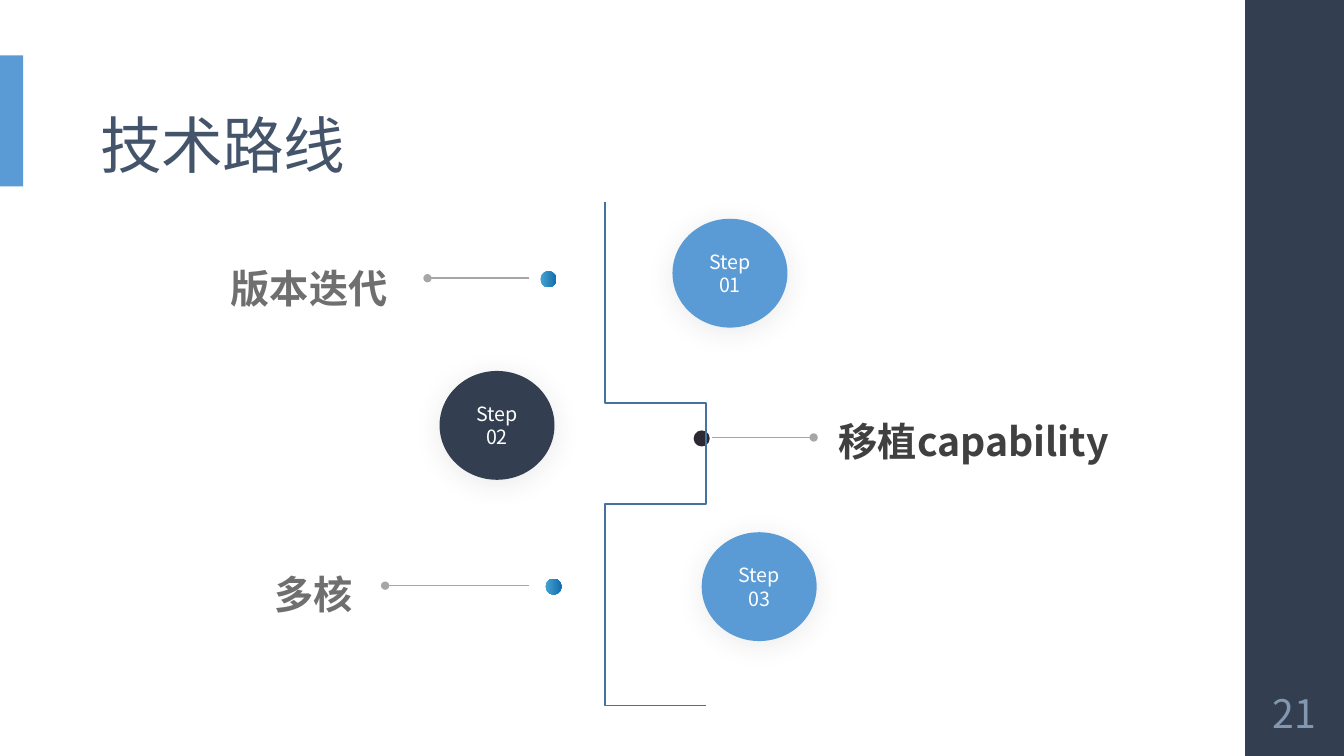
from lxml import etree
from pptx import Presentation, util as u
from pptx.dml.color import RGBColor
from pptx.enum import shapes, text
from pptx.oxml import parse_xml
from pptx.oxml.ns import nsdecls, qn

NAVY = RGBColor(0x33, 0x3F, 0x50)
BLUE = RGBColor(0x5B, 0x9B, 0xD5)
SLATE = RGBColor(0x44, 0x54, 0x6A)
PALE = RGBColor(0x84, 0x97, 0xB0)
GREY = RGBColor(0x6F, 0x6F, 0x6F)
CHARCOAL = RGBColor(0x40, 0x40, 0x40)
RULE = RGBColor(0xA6, 0xA6, 0xA6)
CURVE = RGBColor(0x43, 0x73, 0x9E)
INK = RGBColor(0x2D, 0x29, 0x33)
DOT_BLUES = RGBColor(0x46, 0xA2, 0xD0), RGBColor(0x14, 0x6D, 0xAD)
WHITE = RGBColor(0xFF, 0xFF, 0xFF)
FONT = "Noto Sans CJK SC"
LEFT, CENTER, RIGHT = text.PP_ALIGN.LEFT, text.PP_ALIGN.CENTER, text.PP_ALIGN.RIGHT
OVAL = shapes.MSO_SHAPE.OVAL

# Circle box, circle colour, step number
STEPS = [
    ((6.67, 2.17, 1.14, 1.08), BLUE, "01"),
    ((4.36, 3.68, 1.14, 1.08), NAVY, "02"),
    ((6.96, 5.28, 1.14, 1.08), BLUE, "03"),
]
# Label, label box, alignment, colour, rule start and end x, rule y, dot x
TOPICS = [
    ("版本迭代", (2.04, 2.39, 1.9, 0.62), RIGHT, GREY, 5.25, 4.24, 2.76, 5.36),
    ("移植capability", (8.22, 3.91, 3.51, 0.62), LEFT, CHARCOAL, 7.06, 8.07, 4.34, 6.88),
    ("多核", (2.15, 5.42, 1.45, 0.62), RIGHT, GREY, 5.25, 3.82, 5.81, 5.41),
]
ROUTE_START = (6.46, 1.5)
ROUTE_BEZIERS = [
    ((6.11, 1.71), (5.8, 2.29), (5.83, 2.76)),
    ((5.85, 3.23), (6.57, 3.81), (6.58, 4.33)),
    ((6.59, 4.85), (5.89, 5.45), (5.89, 5.87)),
    ((5.9, 6.3), (6.4, 6.69), (6.61, 6.86)),
]


def inches(box):
    return [u.Inches(v) for v in box]


def write(tf, words, size, color, align=LEFT, bold=False, spacing=None):
    tf.text = words
    tf.word_wrap = True
    for p in tf.paragraphs:
        p.alignment = align
        p.line_spacing = spacing
        for r in p.runs:
            r.font.size = u.Pt(size)
            r.font.name = FONT
            r.font.bold = bold
            r.font.color.rgb = color
            etree.SubElement(r.font._element, qn("a:ea")).set("typeface", FONT)


def add_solid(s, kind, box, color):
    sp = s.shapes.add_shape(kind, *inches(box))
    sp.shadow.inherit = False
    sp.fill.solid()
    sp.fill.fore_color.rgb = color
    sp.line.fill.background()
    return sp


def add_frame(s, box, number):
    """Side panel with the page number, and the accent beside the title."""
    x, y, w, h = box
    rect = shapes.MSO_SHAPE.RECTANGLE
    add_solid(s, rect, box, NAVY)
    add_solid(s, rect, (0, 0.55, 0.23, 1.3), BLUE)
    tf = s.shapes.add_textbox(*inches((x, y + h - 0.75, w, 0.65))).text_frame
    tf.margin_left = tf.margin_right = u.Inches(0.05)
    tf.vertical_anchor = text.MSO_ANCHOR.MIDDLE
    write(tf, number, 28, PALE, CENTER)


def add_title(s, box, words):
    sp = s.shapes.title
    sp.left, sp.top, sp.width, sp.height = inches(box)
    tf = sp.text_frame
    tf.vertical_anchor = text.MSO_ANCHOR.BOTTOM
    write(tf, words, 44, SLATE, spacing=0.9)
    tf.paragraphs[0].runs[0].font._element.set("spc", "-50")


def add_dot(s, x, y, gradient):
    sp = add_solid(s, OVAL, (x, y, 0.16, 0.16), INK)
    if gradient:
        sp.fill.gradient()
        sp.fill.gradient_angle = 0
        for stop, color in zip(sp.fill.gradient_stops, DOT_BLUES):
            stop.color.rgb = color


def add_topic(s, label, box, align, color, start, end, y, dot_x):
    """Label joined by a round-ended rule to a dot beside the route."""
    add_dot(s, dot_x, y - 0.07, gradient=align == RIGHT)
    cx = s.shapes.add_connector(shapes.MSO_CONNECTOR.STRAIGHT, *inches((start, y, end, y)))
    cx.line.color.rgb = RULE
    cx.line.width = u.Pt(1)
    etree.SubElement(cx.line._get_or_add_ln(), qn("a:tailEnd")).set("type", "oval")
    etree.SubElement(cx._element.spPr, qn("a:effectLst"))
    tf = s.shapes.add_textbox(*inches(box)).text_frame
    tf.margin_top = tf.margin_bottom = 0
    write(tf, label, 28, color, align, bold=True, spacing=1.5)


def add_step(s, box, color, number):
    """Numbered circle with a flattened shadow below it."""
    sp = add_solid(s, OVAL, box, color)
    sp._element.spPr.find(qn("a:effectLst")).append(parse_xml(
        f'<a:outerShdw {nsdecls("a")} blurRad="241300" dist="38100" dir="5400000" '
        'sy="-20000" rotWithShape="0"><a:srgbClr val="3F3F3F">'
        '<a:alpha val="10000"/></a:srgbClr></a:outerShdw>'))
    sp.text_frame.vertical_anchor = text.MSO_ANCHOR.MIDDLE
    write(sp.text_frame, f"Step\n{number}", 14, WHITE, CENTER)


def bezier_points(p0, p1, p2, p3, count=24):
    for i in range(1, count + 1):
        t = i / count
        k = 1 - t
        yield tuple(k**3 * a + 3 * k * k * t * b + 3 * k * t * t * c + t**3 * d
                    for a, b, c, d in zip(p0, p1, p2, p3))


def add_route(s, start, beziers):
    points, end = [], start
    for curve in beziers:
        points += bezier_points(end, *curve)
        end = curve[-1]
    fb = s.shapes.build_freeform(*start, scale=u.Inches(1))
    fb.add_line_segments(points, close=False)
    sp = fb.convert_to_shape()
    sp.shadow.inherit = False
    sp.fill.background()
    sp.line.color.rgb = CURVE
    sp.line.width = u.Pt(1.1)


def main():
    prs = Presentation()
    prs.slide_width, prs.slide_height = u.Inches(13.33), u.Inches(7.5)
    s = prs.slides.add_slide(prs.slide_layouts[5])
    add_frame(s, (12.35, 0, 0.98, 7.5), "21")
    add_title(s, (0.9, 1.04, 10.66, 0.81), "技术路线")
    for topic in TOPICS:
        add_topic(s, *topic)
    for step in STEPS:
        add_step(s, *step)
    add_route(s, ROUTE_START, ROUTE_BEZIERS)
    prs.save("out.pptx")


if __name__ == "__main__":
    main()
